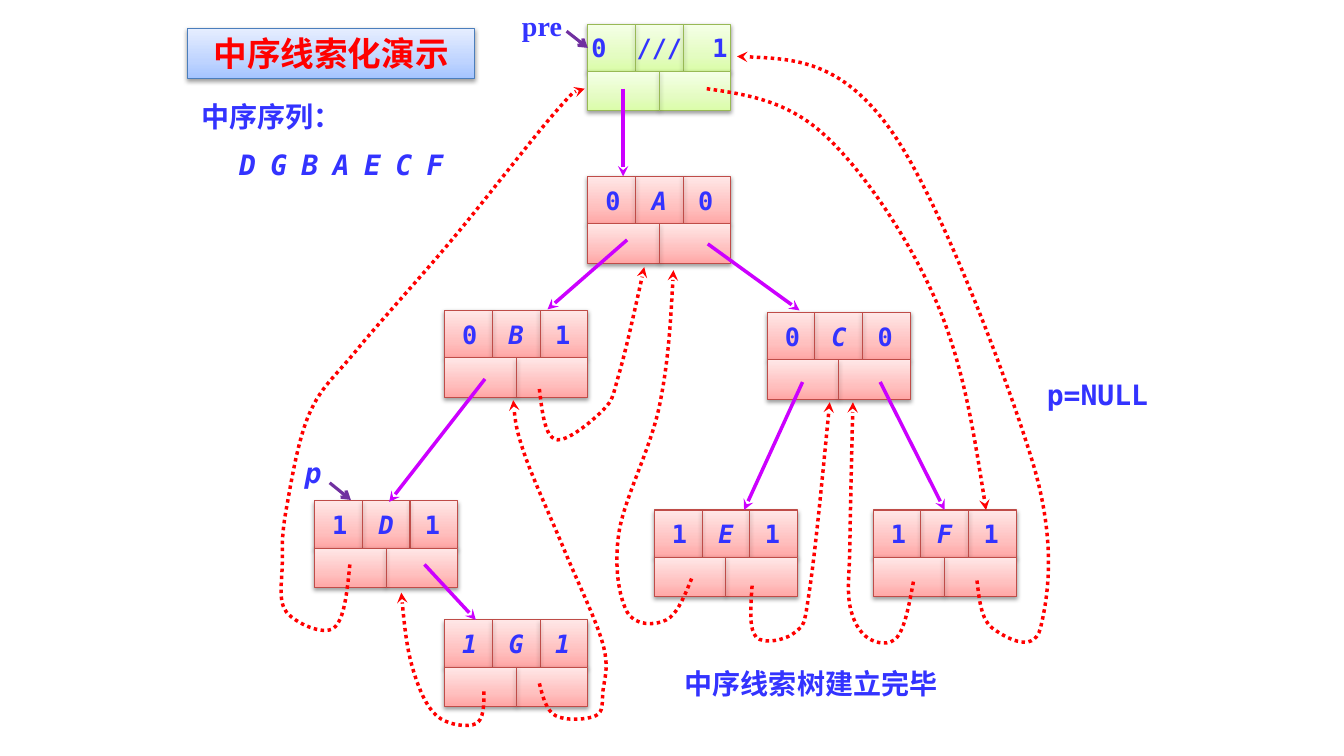
from copy import deepcopy

from lxml import etree
from pptx import Presentation
from pptx.dml.color import RGBColor
from pptx.enum.dml import MSO_LINE
from pptx.enum.shapes import MSO_CONNECTOR, MSO_SHAPE
from pptx.enum.text import MSO_ANCHOR, PP_ALIGN
from pptx.oxml.ns import qn
from pptx.util import Cm, Pt

RECTANGLE = MSO_SHAPE.RECTANGLE
STRAIGHT = MSO_CONNECTOR.STRAIGHT
DOTTED = MSO_LINE.ROUND_DOT
MIDDLE = MSO_ANCHOR.MIDDLE
LEFT = PP_ALIGN.LEFT
CENTER = PP_ALIGN.CENTER
TOP, LEFT_SIDE, BOTTOM = 0, 1, 2

MONO, CJK = "DejaVu Sans Mono", "Noto Sans CJK SC"
BLUE, RED, VIOLET, PURPLE = "3333FF", "FF0000", "CC00FF", "7030A0"
PINK_STYLE = (["FFA6A5", "FFC0BF", "FFE7E7"], "BF4C48")
GREEN_STYLE = (["DAFDA7", "E4FCC2", "F5FFE7"], "98B955")
TITLE_STYLE = (["A4C4FF", "BFD4FF", "E6EEFF"], "4B7EBC")
NODE_WIDTH, UPPER, LOWER = 1.42, 0.47, 0.39
NODE_SPREAD, HEAD_SPREAD = 0.46, 0.6

NODES = {
    "A": (5.83, 1.75, "0A0"),
    "E": (6.49, 5.06, "1E1"),
    "C": (7.61, 3.1, "0C0"),
    "F": (8.66, 5.06, "1F1"),
    "B": (4.41, 3.08, "0B1"),
    "D": (3.12, 4.97, "1D1"),
    "G": (4.41, 6.15, "1G1"),
}
LINKS = [
    ((6.18, 0.88), (6.18, 1.75)),
    ((6.22, 2.38), (5.43, 3.07)),
    ((7.02, 2.42), (7.93, 3.08)),
    ((7.96, 3.79), (7.38, 5.06)),
    ((4.21, 5.6), (4.72, 6.15)),
    ((4.81, 3.76), (3.86, 4.98)),
]
THREADS = {
    "E to C": [(7.46, 5.81), (7.5, 6.32), (7.89, 6.27), (8.03, 5.85), (8.23, 3.99)],
    "F to C": [(9.06, 5.77), (8.9, 6.32), (8.61, 6.33), (8.43, 6.01), (8.43, 5.38), (8.46, 3.99)],
    "head to F": [(7.01, 0.88), (8.19, 1.35), (9.29, 3), (9.78, 5.06)],
    "F to head": [(9.69, 5.76), (9.84, 6.23), (10.32, 6.23), (10.24, 4.58), (8.82, 1.27), (7.31, 0.56)],
    "G to B": [(5.35, 6.78), (5.51, 7.1), (5.91, 7.1), (5.98, 6.86), (5.98, 6.39), (5.59, 5.44),
               (5.2, 4.5), (5.09, 3.97)],
    "G to D": [(4.8, 6.86), (4.72, 7.18), (4.33, 7.1), (4.09, 6.62), (3.98, 5.88)],
    "D to head": [(3.47, 5.6), (3.31, 6.23), (2.84, 6.07), (2.8, 5.58), (2.84, 5.05), (3.07, 4.1),
                  (3.54, 3.47), (4.49, 2.37), (5.51, 1.11), (5.8, 0.88)],
    "E to A": [(6.86, 5.74), (6.61, 6.15), (6.22, 6.07), (6.14, 5.28), (6.54, 4.03), (6.68, 2.68)],
    "B to A": [(5.35, 3.86), (5.51, 4.36), (5.98, 4.07), (6.14, 3.71), (6.39, 2.65)],
}


def color(value):
    return RGBColor.from_string(value)


def scaled(*inches):
    return [Cm(value * 2.54) for value in inches]


def midpoint(first, second):
    return [(a + b) / 2 for a, b in zip(first, second)]


def smooth_curves(knots):
    pulls = [[(c - a) / 6 for a, c in zip(before, after)] for before, after in zip(knots, knots[2:])]
    arriving = [[k - p for k, p in zip(knot, pull)] for knot, pull in zip(knots[1:], pulls)]
    leaving = [[k + p for k, p in zip(knot, pull)] for knot, pull in zip(knots[1:], pulls)]
    leaving.insert(0, midpoint(knots[0], arriving[0]))
    arriving.append(midpoint(knots[-1], leaving[-1]))
    return [point for curve in zip(leaving, arriving, knots[1:]) for point in curve]


class TreeSlide:
    def __init__(self, presentation):
        self.slide = presentation.slides.add_slide(presentation.slide_layouts[6])
        self.shapes = self.slide.shapes

    def outline(self, shape, line_color, width, head=None, dash=None, shadow=False):
        shape.line.color.rgb = color(line_color)
        shape.line.width = Pt(width)
        if dash:
            shape.line.dash_style = dash
        properties = shape.element.spPr
        if head:
            etree.SubElement(properties.find(qn("a:ln")), qn("a:tailEnd"), type=head)
        effects = etree.SubElement(properties, qn("a:effectLst"))
        if shadow:
            outer = etree.SubElement(effects, qn("a:outerShdw"), blurRad=str(Pt(3.1)),
                                     dist=str(Pt(1.6)), dir="5400000", rotWithShape="0")
            black = etree.SubElement(outer, qn("a:srgbClr"), val="000000")
            etree.SubElement(black, qn("a:alpha"), val="38000")

    def cell(self, shapes, box, style):
        fills, border = style
        shape = shapes.add_shape(RECTANGLE, *scaled(*box))
        shape.fill.gradient()
        shape.fill.gradient_angle = 90
        stops = next(shape.element.spPr.iter(qn("a:gsLst")))
        stops.insert(1, deepcopy(stops[0]))
        for stop, fill, position in zip(shape.fill.gradient_stops, fills, (0, 0.35, 1)):
            stop.color.rgb = color(fill)
            stop.position = position
        self.outline(shape, border, 0.75, shadow=True)
        return shape

    def line(self, shapes, begin, end):
        return shapes.add_connector(STRAIGHT, *scaled(*begin, *end))

    def run(self, paragraph, text, size, text_color=BLUE, font=MONO, italic=False):
        run = paragraph.add_run()
        run.text = text
        run.font.size = Pt(size)
        run.font.bold = True
        run.font.italic = italic
        run.font.name = font
        run.font.color.rgb = color(text_color)
        etree.SubElement(run.font._element, qn("a:ea"), typeface=CJK)

    def node(self, x, y, letters, style=PINK_STYLE, spread=NODE_SPREAD, italics=(1,)):
        shapes = self.shapes.add_group_shape().shapes
        upper = self.cell(shapes, (x, y, NODE_WIDTH, UPPER), style)
        for third in (1, 2):
            across = x + third * NODE_WIDTH / 3
            divider = self.line(shapes, (across, y), (across, y + UPPER))
            self.outline(divider, style[1], 0.75, shadow=True)
        lower = self.cell(shapes, (x, y + UPPER, NODE_WIDTH, LOWER), style)
        center = x + NODE_WIDTH / 2
        divider = self.line(shapes, (center, y + UPPER), (center, y + UPPER + LOWER))
        divider.begin_connect(lower, TOP)
        divider.end_connect(lower, BOTTOM)
        self.outline(divider, style[1], 0.75, shadow=True)

        frame = upper.text_frame
        frame.word_wrap = True
        frame.vertical_anchor = MIDDLE
        frame.margin_left = frame.margin_right = frame.margin_top = frame.margin_bottom = 0
        paragraph = frame.paragraphs[0]
        paragraph.alignment = LEFT
        tabs = etree.SubElement(paragraph._p.get_or_add_pPr(), qn("a:tabLst"))
        half = NODE_WIDTH / 2
        for stop in scaled(half - spread, half, half + spread):
            etree.SubElement(tabs, qn("a:tab"), pos=str(stop), algn="ctr")
        for index, letter in enumerate(letters):
            self.run(paragraph, "\t" + letter, 18, italic=index in italics)
        return upper

    def arrow(self, begin, end, line_color=VIOLET, width=2.5, head="stealth", target=None, side=TOP):
        arrow = self.line(self.shapes, begin, end)
        if target:
            arrow.end_connect(target, side)
        self.outline(arrow, line_color, width, head)

    def thread(self, knots):
        builder = self.shapes.build_freeform(*scaled(*knots[0]))
        builder.add_line_segments([scaled(*point) for point in smooth_curves(knots)], close=False)
        shape = builder.convert_to_shape()
        segments = list(shape.element.spPr.iter(qn("a:lnTo")))
        for first in range(0, len(segments), 3):
            curve = etree.SubElement(segments[first].getparent(), qn("a:cubicBezTo"))
            for segment in segments[first:first + 3]:
                curve.append(segment[0])
                segment.getparent().remove(segment)
        shape.fill.background()
        self.outline(shape, RED, 2.5, "stealth", DOTTED)

    def label(self, box, text, font=MONO, italic=False, align=CENTER, inset=False):
        frame = self.shapes.add_textbox(*scaled(*box)).text_frame
        frame.word_wrap = True
        if not inset:
            frame.margin_left = frame.margin_right = frame.margin_top = frame.margin_bottom = 0
        frame.paragraphs[0].alignment = align
        self.run(frame.paragraphs[0], text, 20, font=font, italic=italic)

    def title(self, box, text):
        frame = self.cell(self.shapes, box, TITLE_STYLE).text_frame
        frame.word_wrap = True
        frame.vertical_anchor = MIDDLE
        frame.paragraphs[0].alignment = CENTER
        self.run(frame.paragraphs[0], text, 24, RED, "Calibri")


def main():
    presentation = Presentation()
    presentation.slide_width, presentation.slide_height = scaled(13.33, 7.5)
    tree = TreeSlide(presentation)
    nodes = {}
    for name, (x, y, letters) in NODES.items():
        italics = range(3) if name == "G" else (1,)
        nodes[name] = tree.node(x, y, letters, italics=italics)
    head = tree.node(5.83, 0.24, ("0", "///", "1"), GREEN_STYLE, HEAD_SPREAD, italics=())
    for begin, end in LINKS:
        tree.arrow(begin, end)
    tree.arrow((8.73, 3.79), (9.37, 5.06), target=nodes["F"])
    for knots in THREADS.values():
        tree.thread(knots)
    tree.title((1.86, 0.28, 2.85, 0.5), "中序线索化演示")
    tree.label((1.9, 0.94, 1.48, 0.44), "中序序列：", align=LEFT, inset=True)
    for index, letter in enumerate("DGBAECF"):
        tree.label((2.26 + 0.31 * index, 1.46, 0.39, 0.34), letter, italic=True)
    tree.label((6.39, 6.56, 3.31, 0.44), "中序线索树建立完毕", font=CJK, inset=True)
    tree.arrow((5.62, 0.31), (5.83, 0.48), PURPLE, 2.25, "arrow", head, LEFT_SIDE)
    tree.label((5.1, 0.08, 0.55, 0.34), "pre", font="Times New Roman")
    tree.arrow((3.27, 4.79), (3.48, 4.96), PURPLE, 2.25, "arrow")
    tree.label((2.95, 4.52, 0.31, 0.34), "p", italic=True)
    tree.label((10.26, 3.75, 1.25, 0.34), "p=NULL")
    presentation.save("out.pptx")


if __name__ == "__main__":
    main()
